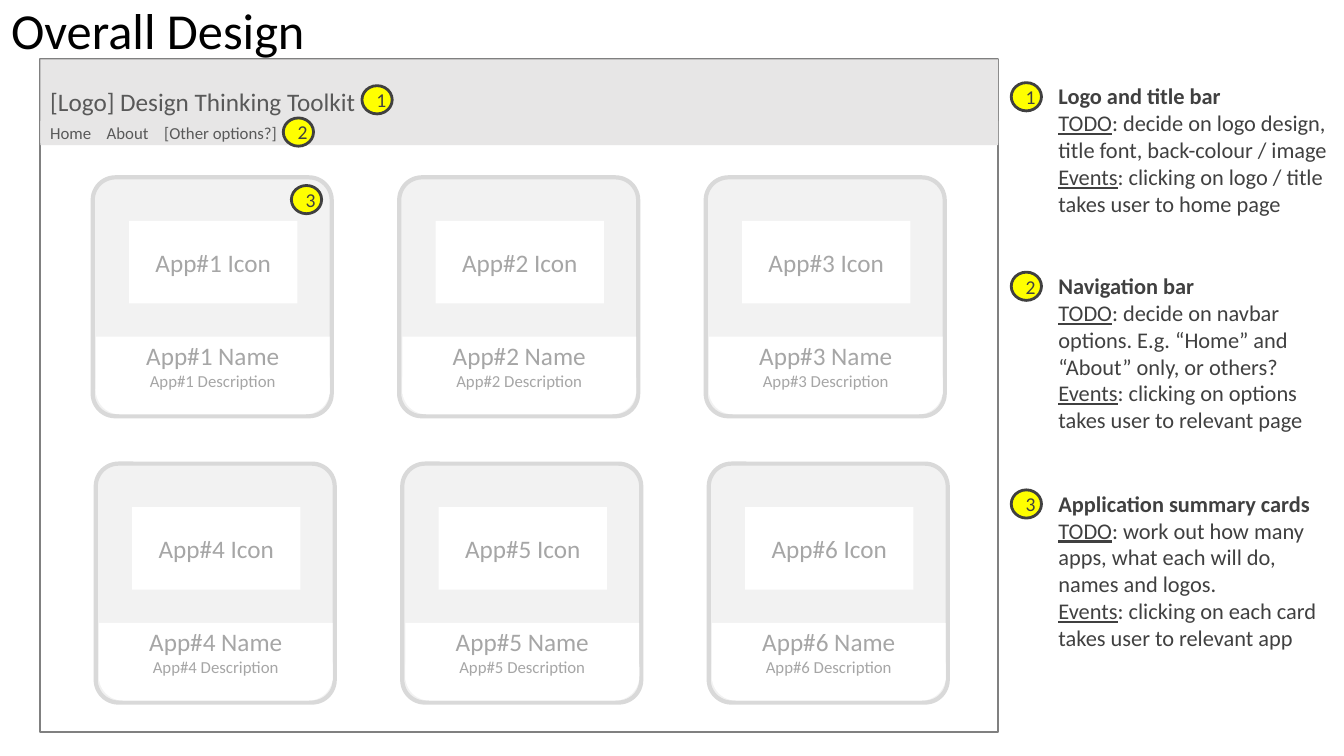
import pptx
import pptx.util
import pptx.dml.color
import pptx.enum.shapes
import pptx.enum.text
import lxml.etree

Inches = pptx.util.Inches
Pt = pptx.util.Pt
MSO = pptx.enum.shapes.MSO_SHAPE
ALIGN = pptx.enum.text.PP_ALIGN
ANCHOR = pptx.enum.text.MSO_ANCHOR
FONT = "Calibri"
COLORS = {
    "title": "000000", "frame": "808080", "bar": "E7E6E6", "bar_text": "595959",
    "card": "F2F2F2", "card_line": "D9D9D9", "card_text": "A6A6A6",
    "white": "FFFFFF", "badge": "FFFF00", "dark": "404040",
}
NOTES = [
    (0.77, 1.45, "Logo and title bar",
     "decide on logo design, title font, back-colour / image",
     "clicking on logo / title takes user to home page"),
    (2.65, 1.72, "Navigation bar",
     "decide on navbar options. E.g. “Home” and “About” only, or others?",
     "clicking on options takes user to relevant page"),
    (4.81, 1.72, "Application summary cards",
     "work out how many apps, what each will do, names and logos.",
     "clicking on each card takes user to relevant app"),
]


def rgb(name):
    """Return the named colour."""
    return pptx.dml.color.RGBColor.from_string(COLORS[name])


def add_run(p, text, size, color, bold=False, underline=False):
    """Append one formatted run to a paragraph."""
    r = p.add_run()
    r.text = text
    r.font.name, r.font.size = FONT, Pt(size)
    r.font.bold, r.font.underline = bold, underline
    r.font.color.rgb = rgb(color)


def add_box(shapes, kind, box, fill=None, line=None, width=1, adj=None):
    """Add a flat preset shape."""
    sp = shapes.add_shape(kind, *map(Inches, box))
    sp.shadow.inherit = False
    if fill:
        sp.fill.solid()
        sp.fill.fore_color.rgb = rgb(fill)
    else:
        sp.fill.background()
    if line:
        sp.line.color.rgb = rgb(line)
        sp.line.width = Pt(width)
    else:
        sp.line.fill.background()
    if adj is not None:
        sp.adjustments[0] = adj
    return sp


def write_lines(sp, lines, color, align=ALIGN.CENTER):
    """Write (text, size) lines, centred vertically in a shape."""
    tf = sp.text_frame
    tf.word_wrap = True
    tf.vertical_anchor = ANCHOR.MIDDLE
    for i, (text, size) in enumerate(lines):
        p = tf.add_paragraph() if i else tf.paragraphs[0]
        p.alignment = align
        add_run(p, text, size, color)


def add_title(s, x, y, w, h):
    """Place and fill the slide title."""
    sp = s.shapes.title
    sp.left, sp.top, sp.width, sp.height = map(Inches, (x, y, w, h))
    sp.text_frame.auto_size = pptx.enum.text.MSO_AUTO_SIZE.NONE
    write_lines(sp, [("Overall Design", 36)], "title", ALIGN.LEFT)
    sp.text_frame.paragraphs[0].line_spacing = 0.9


def add_badge(shapes, x, y, number):
    """Add a numbered yellow marker."""
    sp = add_box(shapes, MSO.OVAL, (x, y, 0.3, 0.28), "badge", "dark", 2)
    write_lines(sp, [(str(number), 14)], "dark")


def add_page(shapes, x, y, w, h):
    """Draw the page frame with its title bar and navigation bar."""
    add_box(shapes, MSO.RECTANGLE, (x, y, w, h), None, "frame", 1.5)
    bar = add_box(shapes, MSO.RECTANGLE, (x, y, w, 0.83), "bar")
    write_lines(bar, [("[Logo] Design Thinking Toolkit", 18)], "bar_text", ALIGN.LEFT)
    nav = add_box(shapes, MSO.RECTANGLE, (x, y + 0.61, w, 0.24), "bar")
    write_lines(nav, [("Home\tAbout\t[Other options?]", 12)], "bar_text", ALIGN.LEFT)
    pPr = nav.text_frame.paragraphs[0]._p.get_or_add_pPr()
    tabs = lxml.etree.SubElement(pPr, pptx.oxml.ns.qn("a:tabLst"))
    for stop in (0.56, 1.13):
        lxml.etree.SubElement(tabs, pptx.oxml.ns.qn("a:tab"),
                              pos=str(Inches(stop)), algn="l")


def add_card(shapes, x, y, number):
    """Draw one application summary card."""
    g = shapes.add_group_shape().shapes
    app = f"App#{number}"
    add_box(g, MSO.ROUNDED_RECTANGLE, (x, y, 2.37, 2.37), "card", "card_line", 3, 0.095)
    add_box(g, MSO.ROUNDED_RECTANGLE, (x + 0.03, y + 1.78, 2.32, 0.57), "white", adj=0.419)
    name = add_box(g, MSO.RECTANGLE, (x + 0.03, y + 1.58, 2.32, 0.57), "white")
    write_lines(name, [(f"{app} Name", 18), (f"{app} Description", 12)], "card_text")
    icon = add_box(g, MSO.RECTANGLE, (x + 0.36, y + 0.43, 1.67, 0.82), "white")
    write_lines(icon, [(f"{app} Icon", 18)], "card_text")


def add_cards(shapes, x, y, rows=2, cols=3):
    """Lay out the cards in a grid."""
    for i in range(rows * cols):
        row, col = divmod(i, cols)
        add_card(shapes, x + 3.04 * col + 0.03 * row, y + 2.84 * row, i + 1)


def add_note(shapes, x, y, h, number, heading, todo, events):
    """Add a numbered note beside the page."""
    g = shapes.add_group_shape().shapes
    add_badge(g, x, y + 0.05, number)
    sp = g.add_textbox(*map(Inches, (x + 0.37, y, 2.94, h)))
    tf = sp.text_frame
    tf.word_wrap = True
    add_run(tf.paragraphs[0], heading, 16, "dark", bold=True)
    for label, text in (("TODO", todo), ("Events", events)):
        p = tf.add_paragraph()
        add_run(p, label, 16, "dark", underline=True)
        add_run(p, f": {text}", 16, "dark")


def main():
    """Build and save the slide."""
    prs = pptx.Presentation()
    prs.slide_width, prs.slide_height = Inches(13.33), Inches(7.5)
    s = prs.slides.add_slide(prs.slide_layouts[5])
    add_title(s, 0.01, -0.09, 11.5, 0.83)
    add_page(s.shapes, 0.4, 0.59, 9.5, 6.67)
    add_cards(s.shapes, 0.92, 1.76)
    for number, (x, y) in enumerate([(3.59, 0.85), (2.81, 1.17), (2.89, 1.84)], 1):
        add_badge(s.shapes, x, y, number)
    for number, (y, h, *texts) in enumerate(NOTES, 1):
        add_note(s.shapes, 10.03, y, h, number, *texts)
    prs.save("out.pptx")


main()
